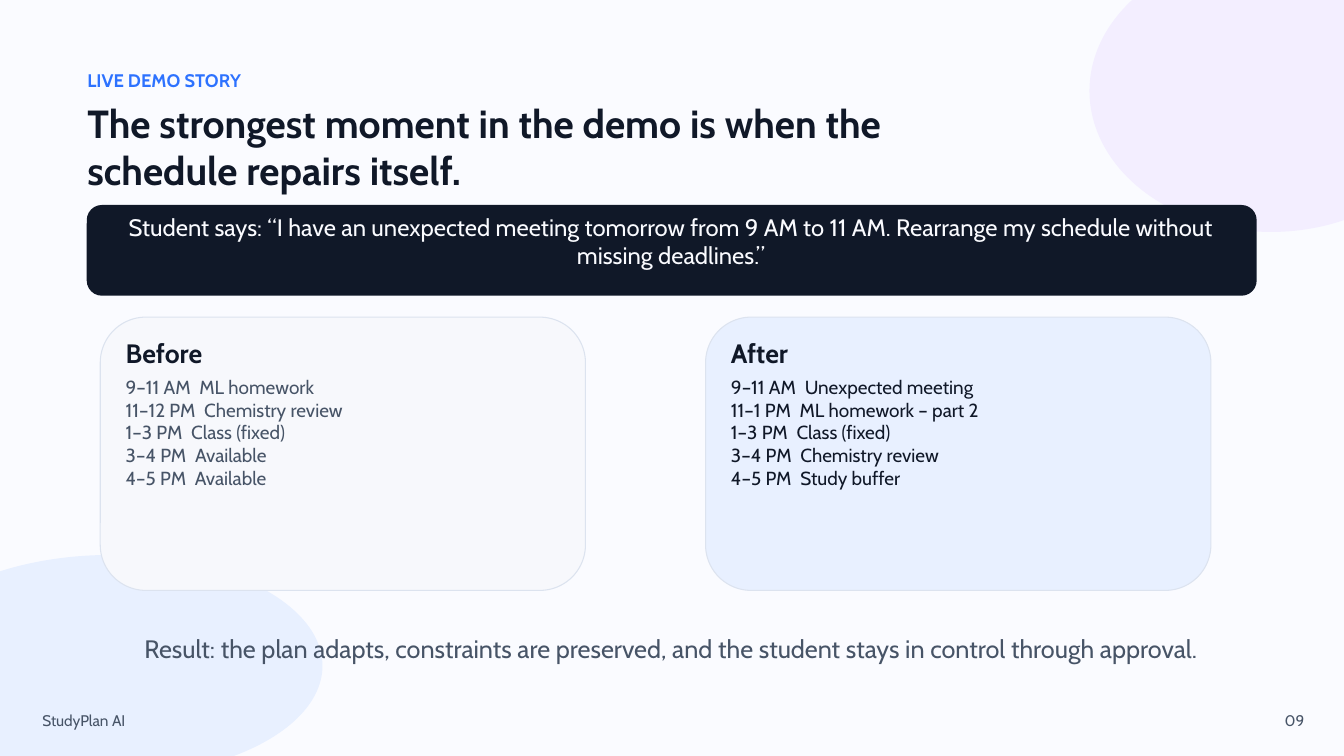
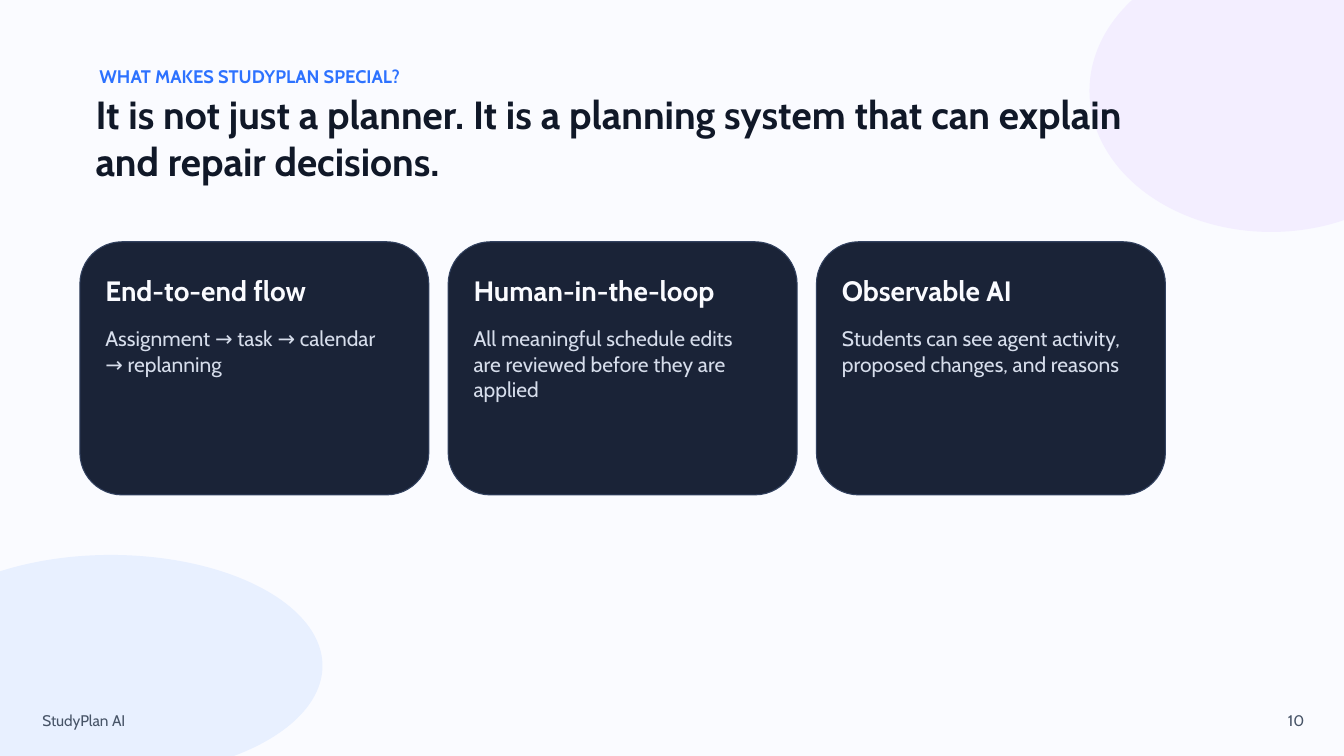
from dataclasses import dataclass
from typing import Optional

from lxml import etree
from pptx import Presentation
from pptx.dml.color import RGBColor
from pptx.enum import shapes, text
from pptx.oxml import ns
from pptx.util import Cm, Pt

FONT = "Cabin"
PAPER = "FAFBFF"
INK = "101828"
SLATE = "475467"
ACCENT = "2D72FF"
SKY = "E8F0FF"
LILAC = "F3EEFF"
MIST = "F7F8FC"
MIST_EDGE = "DCE3EF"
NIGHT = "1A2337"
NIGHT_EDGE = "32415F"
PALE = "D6DDEB"

LEFT, CENTER, RIGHT = text.PP_ALIGN.LEFT, text.PP_ALIGN.CENTER, text.PP_ALIGN.RIGHT
OVAL, ROUNDED = shapes.MSO_SHAPE.OVAL, shapes.MSO_SHAPE.ROUNDED_RECTANGLE
COMPARISON_LAYOUT, TITLE_LAYOUT = 4, 5


@dataclass(frozen=True)
class Area:
    left: float
    top: float
    width: float
    height: float

    def lengths(self) -> tuple:
        return Cm(self.left), Cm(self.top), Cm(self.width), Cm(self.height)


@dataclass(frozen=True)
class TextStyle:
    size: float
    leading: float
    color: str
    bold: bool = False
    align: int = LEFT


@dataclass(frozen=True)
class CardStyle:
    fill: str
    edge: str
    heading: TextStyle
    body: TextStyle
    heading_drop: float
    heading_height: float
    body_drop: float
    body_height: float
    trim: float


@dataclass(frozen=True)
class Card:
    area: Area
    heading: str
    rows: list


KICKER = TextStyle(19.5, 23.4, ACCENT, bold=True)
TITLE = TextStyle(42, 50.4, INK, bold=True)
FOOTER = TextStyle(16.5, 19.8, SLATE)
PAGE_NUMBER = TextStyle(16.5, 19.8, SLATE, align=RIGHT)
QUOTE = TextStyle(25.5, 30.6, PAPER, align=CENTER)
RESULT = TextStyle(27, 32.4, SLATE, align=CENTER)
CARD_INSET = 0.96


def color(value: str) -> RGBColor:
    return RGBColor.from_string(value)


def schedule_style(fill: str, body_color: str) -> CardStyle:
    return CardStyle(fill, MIST_EDGE, TextStyle(28.5, 34.2, INK, bold=True),
                     TextStyle(20.3, 24.3, body_color), 0.76, 0.89, 2.21, 7.57, 1.9)


BEFORE = schedule_style(MIST, SLATE)
AFTER = schedule_style(SKY, INK)
STRENGTH = CardStyle(NIGHT, NIGHT_EDGE, TextStyle(30, 36, PAPER, bold=True),
                     TextStyle(22.5, 27, PALE), 1.2, 1.09, 3.18, 2.79, 2.26)


def draw_shape(page, kind: int, area: Area, fill: str, edge: Optional[str] = None) -> None:
    shape = page.shapes.add_shape(kind, *area.lengths())
    shape.shadow.inherit = False
    shape.fill.solid()
    shape.fill.fore_color.rgb = color(fill)
    if edge:
        shape.line.color.rgb = color(edge)
        shape.line.width = Pt(1.13)
    else:
        shape.line.fill.background()


def add_span(para, words: str, style: TextStyle):
    span = para.add_run()
    span.text = words
    span.font.name = FONT
    span.font.size = Pt(style.size)
    span.font.bold = style.bold
    span.font.color.rgb = color(style.color)
    return span


def write(page, area: Area, rows: list, style: TextStyle, slot=None) -> None:
    box = slot or page.shapes.add_textbox(*area.lengths())
    box.left, box.top, box.width, box.height = area.lengths()
    box.element.getparent().append(box.element)
    frame = box.text_frame
    frame.word_wrap = True
    frame.auto_size = text.MSO_AUTO_SIZE.SHAPE_TO_FIT_TEXT
    frame.vertical_anchor = text.MSO_ANCHOR.TOP
    frame.margin_left = frame.margin_top = frame.margin_right = frame.margin_bottom = 0
    for number, parts in enumerate(rows):
        para = frame.add_paragraph() if number else frame.paragraphs[0]
        properties = para._p.get_or_add_pPr()
        properties.set("marL", "0")
        properties.set("indent", "0")
        etree.SubElement(properties, ns.qn("a:buNone"))
        para.alignment = style.align
        para.line_spacing = Pt(style.leading)
        para.space_before = para.space_after = Pt(0)
        for position, part in enumerate(parts):
            if position:
                gap = add_span(para, " ", style)
                gap._r.get_or_add_rPr().set("spc", "480")
            add_span(para, part, style)


def draw_card(page, card: Card, style: CardStyle, heading_slot=None, body_slot=None) -> None:
    area = card.area
    draw_shape(page, ROUNDED, area, style.fill, style.edge)
    left, width = area.left + CARD_INSET, area.width - style.trim
    heading_area = Area(left, area.top + style.heading_drop, width, style.heading_height)
    body_area = Area(left, area.top + style.body_drop, width, style.body_height)
    write(page, heading_area, [(card.heading,)], style.heading, heading_slot)
    write(page, body_area, card.rows, style.body, body_slot)


def add_page(deck, layout: int, number: str, kicker: str, kicker_area: Area,
             title: str, title_area: Area):
    page = deck.slides.add_slide(deck.slide_layouts[layout])
    draw_shape(page, OVAL, Area(41.18, -1.9, 13.73, 10.67), LILAC)
    draw_shape(page, OVAL, Area(-3.81, 20.98, 16, 8.38), SKY)
    write(page, Area(1.6, 26.9, 9.02, 0.71), [("StudyPlan AI",)], FOOTER)
    write(page, Area(46.76, 26.9, 2.54, 0.71), [(number,)], PAGE_NUMBER)
    write(page, kicker_area, [(kicker,)], KICKER)
    write(page, title_area, [(title,)], TITLE, page.shapes.title)
    return page


def build_demo(deck) -> None:
    page = add_page(deck, COMPARISON_LAYOUT, "09",
                    "LIVE DEMO STORY", Area(3.3, 2.62, 16.66, 0.89),
                    "The strongest moment in the demo is when the schedule repairs itself.",
                    Area(3.3, 3.76, 30.76, 3.18))
    draw_shape(page, ROUNDED, Area(3.28, 7.75, 44.22, 3.43), INK)
    quote = ("Student says: “I have an unexpected meeting tomorrow from 9 AM to 11 AM. "
             "Rearrange my schedule without missing deadlines.”")
    write(page, Area(4.65, 8.03, 41.43, 1.47), [(quote,)], QUOTE)
    before = Card(Area(3.79, 11.99, 18.34, 10.33), "Before", [
        ("9–11 AM", "ML homework"),
        ("11–12 PM", "Chemistry review"),
        ("1–3 PM", "Class (fixed)"),
        ("3–4 PM", "Available"),
        ("4–5 PM", "Available"),
    ])
    after = Card(Area(26.67, 11.99, 19.1, 10.33), "After", [
        ("9–11 AM", "Unexpected meeting"),
        ("11–1 PM", "ML homework – part 2"),
        ("1–3 PM", "Class (fixed)"),
        ("3–4 PM", "Chemistry review"),
        ("4–5 PM", "Study buffer"),
    ])
    slots = page.placeholders
    draw_card(page, before, BEFORE, slots[1], slots[2])
    draw_card(page, after, AFTER, slots[3], slots[4])
    result = ("Result: the plan adapts, constraints are preserved, "
              "and the student stays in control through approval.")
    write(page, Area(4.06, 23.95, 42.57, 1.27), [(result,)], RESULT)


def build_strengths(deck) -> None:
    page = add_page(deck, TITLE_LAYOUT, "10",
                    "WHAT MAKES STUDYPLAN SPECIAL?", Area(3.76, 2.46, 11.63, 0.81),
                    "It is not just a planner. It is a planning system that can explain "
                    "and repair decisions.",
                    Area(3.61, 3.43, 39.42, 3.56))
    strengths = [
        ("End-to-end flow", "Assignment → task → calendar → replanning"),
        ("Human-in-the-loop",
         "All meaningful schedule edits are reviewed before they are applied"),
        ("Observable AI", "Students can see agent activity, proposed changes, and reasons"),
    ]
    for column, (heading, body) in enumerate(strengths):
        area = Area(3.02 + column * 13.92, 9.14, 13.19, 9.57)
        draw_card(page, Card(area, heading, [(body,)]), STRENGTH)


def main() -> None:
    deck = Presentation()
    deck.slide_width, deck.slide_height = Cm(50.8), Cm(28.58)
    backdrop = deck.slide_master.background.fill
    backdrop.solid()
    backdrop.fore_color.rgb = color(PAPER)
    build_demo(deck)
    build_strengths(deck)
    deck.save("out.pptx")


if __name__ == "__main__":
    main()
